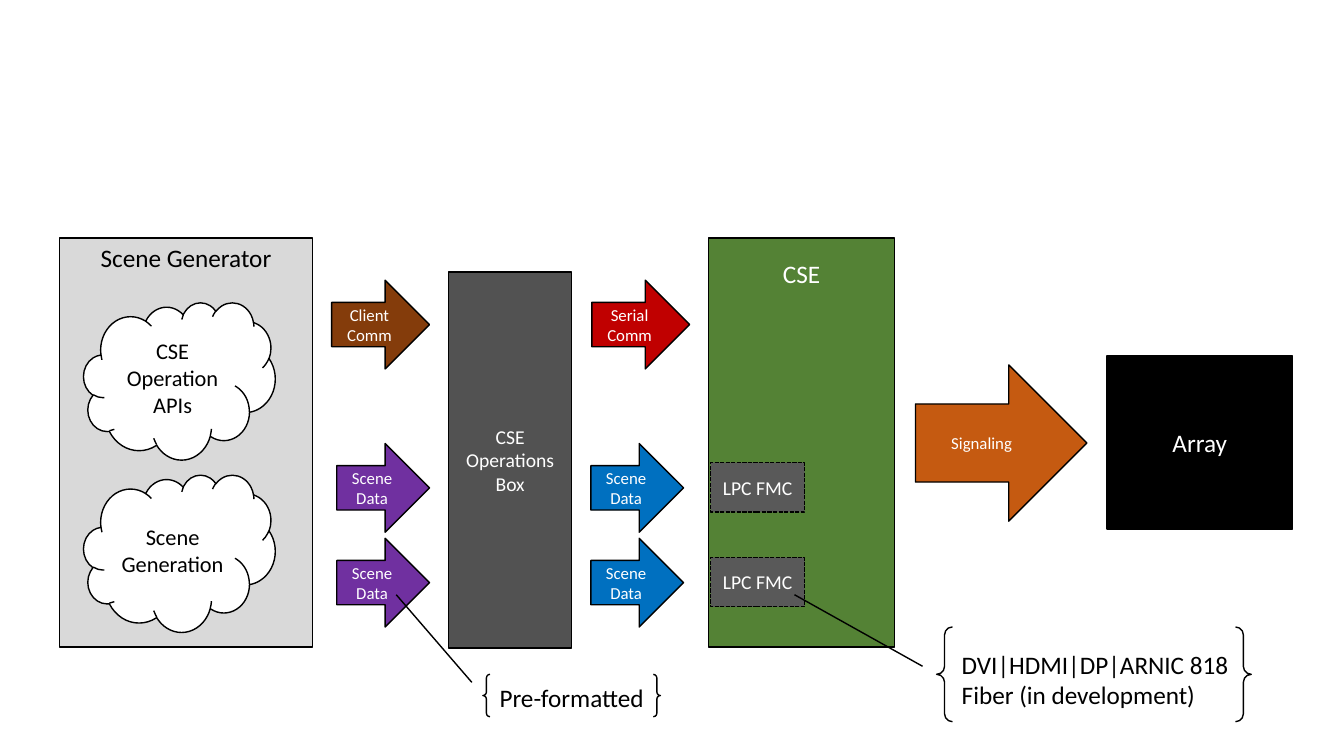
from dataclasses import dataclass

from lxml import etree
from pptx import Presentation
from pptx.dml.color import RGBColor
from pptx.enum.dml import MSO_LINE
from pptx.enum.shapes import MSO_CONNECTOR, MSO_SHAPE
from pptx.enum.text import MSO_ANCHOR, MSO_AUTO_SIZE, PP_ALIGN
from pptx.oxml.ns import qn
from pptx.slide import Slide
from pptx.util import Inches, Pt

RECTANGLE = MSO_SHAPE.RECTANGLE
CLOUD = MSO_SHAPE.CLOUD
ARROW = MSO_SHAPE.RIGHT_ARROW
BRACES = MSO_SHAPE.DOUBLE_BRACE
STRAIGHT = MSO_CONNECTOR.STRAIGHT
TOP = MSO_ANCHOR.TOP
MIDDLE = MSO_ANCHOR.MIDDLE
CENTER = PP_ALIGN.CENTER
LEFT = PP_ALIGN.LEFT
DASHED = MSO_LINE.SQUARE_DOT
GROW = MSO_AUTO_SIZE.SHAPE_TO_FIT_TEXT

SLIDE_WIDTH = Inches(13.33)
SLIDE_HEIGHT = Inches(7.5)
GRID_ROWS = 75
CELL = SLIDE_HEIGHT / GRID_ROWS
BLANK_LAYOUT = 6


@dataclass(frozen=True)
class Theme:
    font: str = "Calibri"
    black: str = "000000"
    white: str = "FFFFFF"
    generator: str = "D9D9D9"
    operations: str = "525252"
    electronics: str = "548235"
    card: str = "595959"
    client: str = "843C0B"
    serial: str = "C00000"
    raw_scene: str = "7030A0"
    sent_scene: str = "0070C0"
    signal: str = "C55A11"
    heading: int = 18
    cloud: int = 16
    body: int = 14
    arrow: int = 12
    outline: int = 1


THEME = Theme()


@dataclass(frozen=True)
class Area:
    column: float
    row: float
    columns: float
    rows: float


@dataclass(frozen=True)
class Block:
    kind: MSO_SHAPE
    area: Area
    label: str
    size: int
    fill: str | None
    ink: str = THEME.white
    anchor: MSO_ANCHOR = MIDDLE
    top_inset: float = 0.5
    dashed: bool = False


@dataclass(frozen=True)
class Pointer:
    start: tuple[float, float]
    end: tuple[float, float]


def cells(count: float) -> int:
    return round(count * CELL)


def bounds(area: Area) -> tuple[int, int, int, int]:
    return cells(area.column), cells(area.row), cells(area.columns), cells(area.rows)


def write(frame, label: str, size: int, ink: str, align: PP_ALIGN) -> None:
    frame.word_wrap = True
    frame.text = label
    for paragraph in frame.paragraphs:
        paragraph.alignment = align
        paragraph.font.name = THEME.font
        paragraph.font.size = Pt(size)
        paragraph.font.color.rgb = RGBColor.from_string(ink)


def draw_outline(line) -> None:
    line.color.rgb = RGBColor.from_string(THEME.black)
    line.width = Pt(THEME.outline)


def draw_block(slide: Slide, block: Block) -> None:
    shape = slide.shapes.add_shape(block.kind, *bounds(block.area))
    shape.shadow.inherit = False
    draw_outline(shape.line)
    if block.dashed:
        shape.line.dash_style = DASHED
    if block.fill:
        shape.fill.solid()
        shape.fill.fore_color.rgb = RGBColor.from_string(block.fill)
    else:
        shape.fill.background()
    if block.label:
        shape.text_frame.vertical_anchor = block.anchor
        shape.text_frame.margin_top = cells(block.top_inset)
        write(shape.text_frame, block.label, block.size, block.ink, CENTER)


def draw_pointer(slide: Slide, pointer: Pointer) -> None:
    ends = [cells(count) for count in (*pointer.start, *pointer.end)]
    connector = slide.shapes.add_connector(STRAIGHT, *ends)
    draw_outline(connector.line)
    etree.SubElement(connector._element.spPr, qn("a:effectLst"))


def draw_note(slide: Slide, area: Area, label: str) -> None:
    frame = slide.shapes.add_textbox(*bounds(area)).text_frame
    write(frame, label, THEME.heading, THEME.black, LEFT)
    frame.auto_size = GROW


SYSTEMS = [
    Block(RECTANGLE, Area(70.3, 23.6, 18.4, 40.6), "CSE", THEME.heading,
          THEME.electronics, anchor=TOP, top_inset=2),
    Block(RECTANGLE, Area(109.8, 35.3, 18.4, 17.2), "Array", THEME.heading, THEME.black),
    Block(RECTANGLE, Area(5.9, 23.6, 25.1, 40.6), "Scene Generator", THEME.heading,
          THEME.generator, THEME.black, TOP),
    Block(RECTANGLE, Area(44.5, 27, 12.2, 37.3), "CSE Operations Box", THEME.body,
          THEME.operations),
]
CLOUDS = [
    Block(CLOUD, Area(8.3, row, 19, 15.6), label, THEME.cloud, THEME.white, THEME.black)
    for row, label in ((30, "CSE Operation\nAPIs"), (47.1, "Scene Generation"))
]
COMM_ARROWS = [
    Block(ARROW, Area(column, 27.8, 9.7, 8.8), label, THEME.arrow, fill)
    for column, label, fill in (
        (32.9, "Client\nComm", THEME.client),
        (58.7, "Serial\nComm", THEME.serial),
    )
]
SCENE_ROWS = (44, 53.4)
SCENE_ARROWS = [
    Block(ARROW, Area(column, row, 9.2, 8.8), "Scene Data", THEME.arrow, fill)
    for column, fill in ((33.4, THEME.raw_scene), (58.6, THEME.sent_scene))
    for row in SCENE_ROWS
]
CARDS = [
    Block(RECTANGLE, Area(70.5, row + 1.9, 9.3, 4.9), "LPC FMC", THEME.body,
          THEME.card, dashed=True)
    for row in SCENE_ROWS
]
SIGNALING = Block(ARROW, Area(90.8, 36.2, 17, 15.5), "Signaling", THEME.arrow, THEME.signal)
CALLOUTS = [
    Block(BRACES, Area(92.9, 62.2, 31.2, 9.4), "", THEME.heading, None),
    Block(BRACES, Area(47.9, 66.9, 17.6, 4.2), "Pre-formatted", THEME.heading,
          None, THEME.black),
]
POINTERS = [
    Pointer((78.8, 59), (91.5, 66.1)),
    Pointer((39.3, 59), (46.8, 67.7)),
]


def main() -> None:
    deck = Presentation()
    deck.slide_width = SLIDE_WIDTH
    deck.slide_height = SLIDE_HEIGHT
    slide = deck.slides.add_slide(deck.slide_layouts[BLANK_LAYOUT])
    for block in (*SYSTEMS, *CLOUDS, *COMM_ARROWS, *SCENE_ARROWS, *CARDS, SIGNALING, *CALLOUTS):
        draw_block(slide, block)
    draw_note(slide, Area(94.4, 63.9, 28.9, 7.1),
              "DVI|HDMI|DP|ARNIC 818\nFiber (in development)")
    for pointer in POINTERS:
        draw_pointer(slide, pointer)
    deck.save("out.pptx")


if __name__ == "__main__":
    main()
